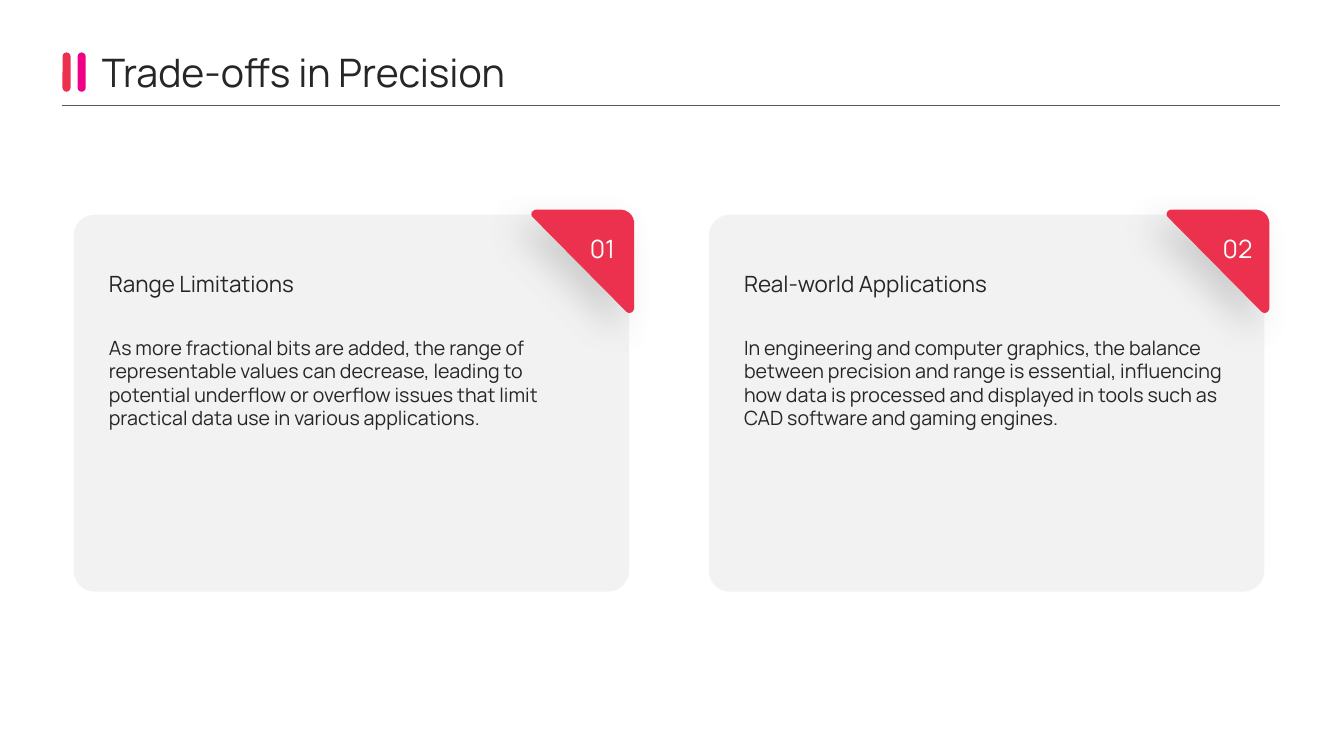
"""Build the slide on trade-offs in precision: a titled page with two numbered cards."""
from lxml import etree
from pptx import Presentation
from pptx.dml.color import RGBColor
from pptx.enum.shapes import MSO_CONNECTOR, MSO_SHAPE
from pptx.enum.text import MSO_ANCHOR, PP_ALIGN
from pptx.oxml.ns import qn
from pptx.util import Inches, Pt

ROUNDED = MSO_SHAPE.ROUNDED_RECTANGLE
STRAIGHT = MSO_CONNECTOR.STRAIGHT
TOP, MIDDLE = MSO_ANCHOR.TOP, MSO_ANCHOR.MIDDLE
LEFT, CENTER = PP_ALIGN.LEFT, PP_ALIGN.CENTER

FONT = "Manrope"
RED, PINK, INK = "EC314E", "EF0086", "262626"
PANEL, WHITE, RULE, SHADE = "F2F2F2", "FFFFFF", "595959", "808080"

TITLE = "Trade-offs in Precision"
CARDS = [
    ("01", "Range Limitations",
     "As more fractional bits are added, the range of representable values can "
     "decrease, leading to potential underflow or overflow issues that limit "
     "practical data use in various applications."),
    ("02", "Real-world Applications",
     "In engineering and computer graphics, the balance between precision and "
     "range is essential, influencing how data is processed and displayed in "
     "tools such as CAD software and gaming engines."),
]
CARD_LEFT, CARD_TOP, CARD_STEP = 0.73, 2.13, 6.3
FLAG_CORNERS = [
    [(0.05, 0), (0.01, 0), (-0.02, 0.05), (0.02, 0.08)],
    [(0.94, 1.01), (0.97, 1.04), (1.02, 1.02), (1.02, 0.97)],
    [(1.02, 0.14), (1.02, 0.06), (0.96, 0), (0.88, 0)],
]
CURVE_STEPS = 12

prs = Presentation()
prs.slide_width, prs.slide_height = Inches(13.33), Inches(7.5)
slide = prs.slides.add_slide(prs.slide_layouts[6])
shapes = slide.shapes


def color(value):
    return RGBColor.from_string(value)


def paint(shape, fill):
    shape.shadow.inherit = False
    shape.fill.solid()
    shape.fill.fore_color.rgb = color(fill)
    shape.line.fill.background()


def add_rounded(left, top, width, height, fill, radius):
    shape = shapes.add_shape(ROUNDED, *map(Inches, (left, top, width, height)))
    shape.adjustments[0] = radius
    paint(shape, fill)


def add_text(text, left, top, width, height, size, ink=INK, align=LEFT, anchor=MIDDLE):
    frame = shapes.add_textbox(*map(Inches, (left, top, width, height))).text_frame
    frame.word_wrap = True
    frame.vertical_anchor = anchor
    frame.margin_left = frame.margin_right = frame.margin_top = frame.margin_bottom = 0
    paragraph = frame.paragraphs[0]
    paragraph.alignment = align
    run = paragraph.add_run()
    run.text = text
    run.font.name, run.font.size = FONT, Pt(size)
    run.font.color.rgb = color(ink)


def curve_point(corner, t):
    weights = ((1 - t) ** 3, 3 * t * (1 - t) ** 2, 3 * t * t * (1 - t), t ** 3)
    return tuple(sum(w * p[axis] for w, p in zip(weights, corner)) for axis in (0, 1))


def add_flag(left, top):
    outline = [(Inches(left + x), Inches(top + y))
               for corner in FLAG_CORNERS
               for x, y in (curve_point(corner, i / CURVE_STEPS)
                            for i in range(CURVE_STEPS + 1))]
    builder = shapes.build_freeform(*outline[0], scale=1.0)
    builder.add_line_segments(outline[1:], close=True)
    flag = builder.convert_to_shape()
    paint(flag, RED)
    effects = flag.element.spPr.find(qn("a:effectLst"))
    shadow = etree.SubElement(effects, qn("a:outerShdw"), blurRad=str(Pt(25)),
                              dist=str(Pt(15)), dir=str(135 * 60000),
                              algn="tr", rotWithShape="0")
    tint = etree.SubElement(shadow, qn("a:srgbClr"), val=SHADE)
    etree.SubElement(tint, qn("a:alpha"), val="30000")


for index, (number, heading, body) in enumerate(CARDS):
    left = CARD_LEFT + index * CARD_STEP
    add_rounded(left, CARD_TOP, 5.51, 3.74, PANEL, 0.056)
    add_flag(left + 4.54, CARD_TOP - 0.05)
    add_text(number, left + 4.93, CARD_TOP + 0.14, 0.63, 0.39, 18, ink=WHITE, align=CENTER)
    add_text(heading, left + 0.35, CARD_TOP + 0.45, 4.58, 0.47, 16)
    add_text(body, left + 0.35, CARD_TOP + 1.2, 4.8, 2.13, 14, anchor=TOP)

add_text(TITLE, 1.01, 0.46, 10.97, 0.51, 28)
for bar_left, bar_fill in ((0.62, RED), (0.77, PINK)):
    add_rounded(bar_left, 0.52, 0.08, 0.39, bar_fill, 0.5)

rule = shapes.add_connector(STRAIGHT, *map(Inches, (0.62, 1.05, 12.7, 1.05)))
rule.line.color.rgb = color(RULE)
rule.line.width = Pt(0.5)
etree.SubElement(rule.element.spPr, qn("a:effectLst"))

prs.save("out.pptx")
